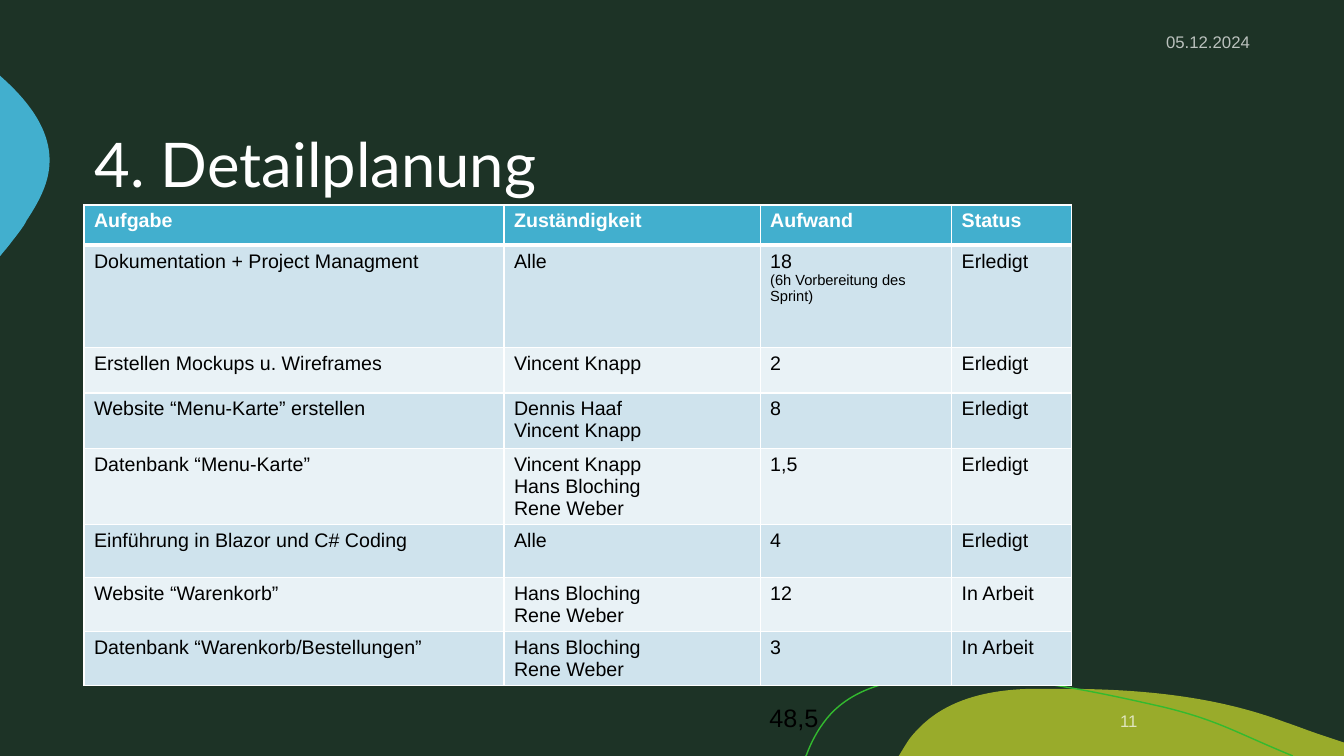
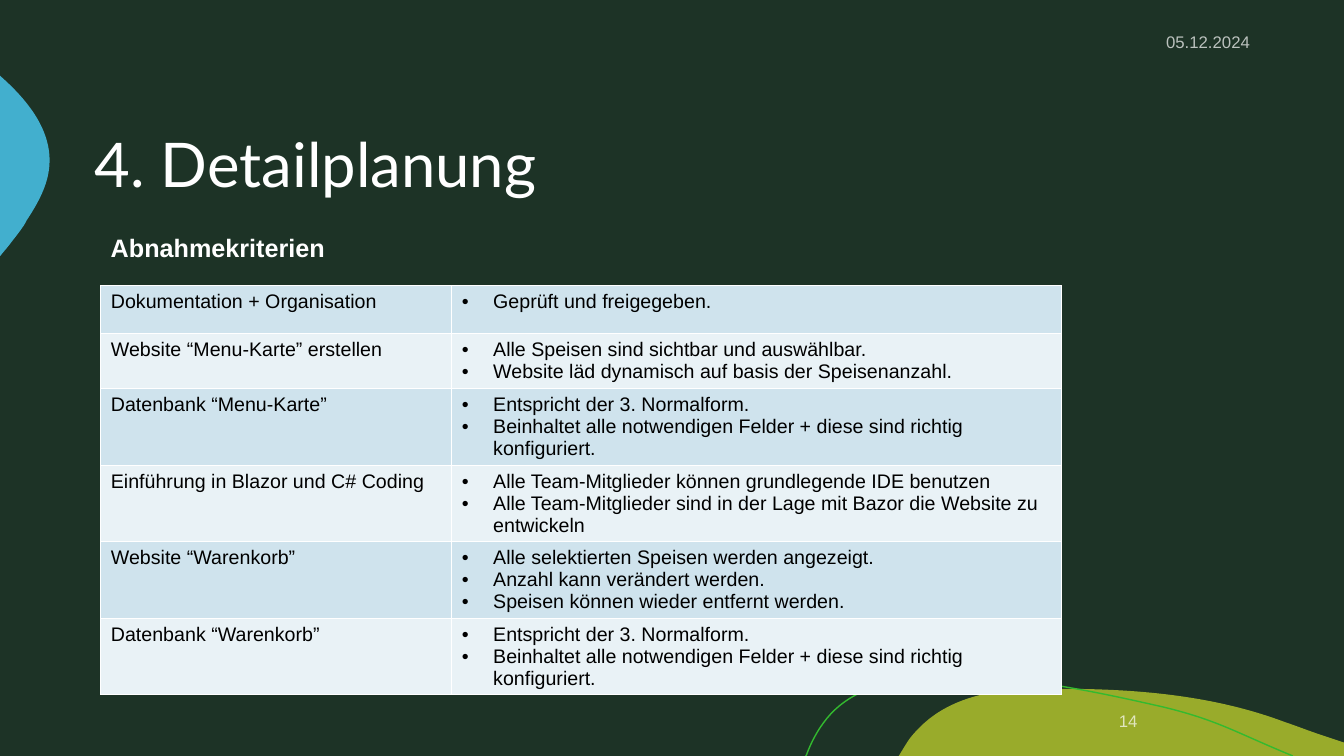
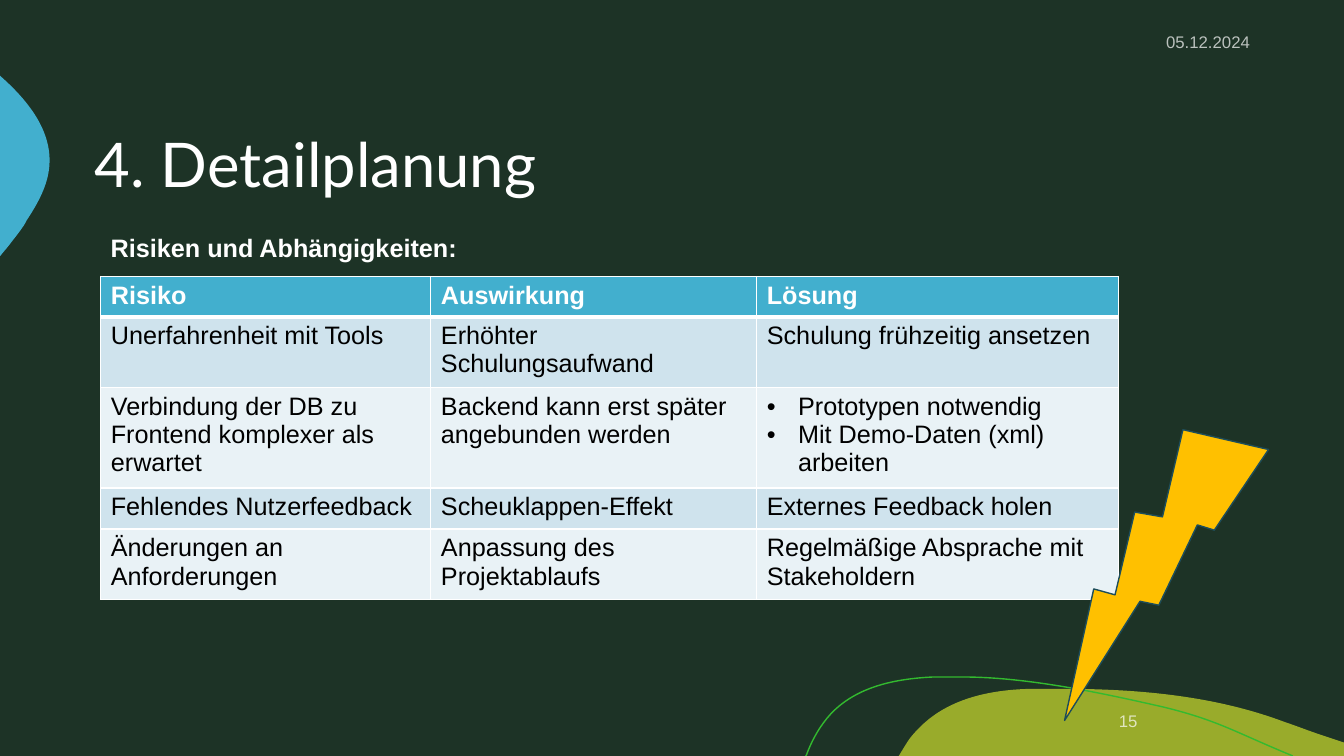
from lxml import etree
from pptx import Presentation, util as u
from pptx.dml.color import RGBColor
from pptx.enum import shapes, text
from pptx.oxml.ns import qn

# Palette
NIGHT = RGBColor(0x1D, 0x33, 0x26)
OLIVE = RGBColor(0x99, 0xAB, 0x2B)
BLUE = RGBColor(0x42, 0xAF, 0xCE)
GREEN = RGBColor(0x33, 0xBA, 0x2F)
WHITE = RGBColor(0xFF, 0xFF, 0xFF)
BLACK = RGBColor(0, 0, 0)
BAND_DARK = RGBColor(0xCF, 0xE3, 0xED)
BAND_LIGHT = RGBColor(0xE9, 0xF2, 0xF6)
AMBER = RGBColor(0xFF, 0xC0, 0)
PETROL = RGBColor(0x1D, 0x4D, 0x5A)

# Grid: 16 columns by 9 rows of square units
prs = Presentation()
prs.slide_width, prs.slide_height = u.Inches(13.3333), u.Inches(7.5)
UNIT = prs.slide_width / 16


def write(frame, lines, size=14, color=BLACK, font="Arial", bold=False,
          align=None, anchor=text.MSO_ANCHOR.TOP, spacing=None, opacity=None):
    """One paragraph a line; a leading • makes a bullet, \\v breaks a line."""
    frame.word_wrap = True
    frame.vertical_anchor = anchor
    for i, line in enumerate(lines.split("\n")):
        par = frame.paragraphs[0] if i == 0 else frame.add_paragraph()
        par.alignment, par.line_spacing = align, spacing
        for k, piece in enumerate(line.lstrip("• ").split("\v")):
            if k:
                par.add_line_break()
            run = par.add_run()
            run.text = piece
            run.font.size, run.font.name, run.font.bold = u.Pt(size), font, bold
            run.font.color.rgb = color
            if opacity:
                rgb = run._r.find(".//" + qn("a:srgbClr"))
                etree.SubElement(rgb, qn("a:alpha"), val=str(opacity * 1000))
        if line.startswith("•"):
            props = par._p.get_or_add_pPr()
            props.set("marL", str(u.Inches(0.31)))
            props.set("indent", str(-u.Inches(0.31)))
            etree.SubElement(props, qn("a:buFont"), typeface="Arial")
            etree.SubElement(props, qn("a:buChar"), char="•")


def draw_curve(slide, start, segments, closed):
    """Outline of lines (x, y) and cubic curves (two controls, end)."""
    ends = [start] + [seg[-2:] for seg in segments]
    left, top = min(x for x, _ in ends), min(y for _, y in ends)
    spots = [(round(x * UNIT), round(y * UNIT)) for x, y in ends]
    builder = slide.shapes.build_freeform(*spots[0], scale=1.0)
    builder.add_line_segments(spots[1:], close=closed)
    curve = builder.convert_to_shape()
    steps = curve._element.findall(".//" + qn("a:lnTo"))
    for step, seg in zip(steps, segments):
        if len(seg) == 6:
            bezier = etree.Element(qn("a:cubicBezTo"))
            for x, y in zip(seg[::2], seg[1::2]):
                etree.SubElement(bezier, qn("a:pt"),
                                 x=str(round((x - left) * UNIT)),
                                 y=str(round((y - top) * UNIT)))
            step.getparent().replace(step, bezier)
    curve.shadow.inherit = False
    return curve


# Shared decoration: start, segments, fill, line
DECOR = [
    ((12.65, 8.2), [
        (13.54, 8.2, 14.45, 8.28, 15.28, 8.59),
        (15.43, 8.64, 15.58, 8.7, 15.73, 8.75),
        (16, 8.84), (16, 9), (10.7, 9), (10.78, 8.87),
        (10.82, 8.8, 10.87, 8.74, 10.93, 8.68),
        (11.27, 8.32, 11.78, 8.21, 12.28, 8.2),
        (12.4, 8.2, 12.52, 8.2, 12.65, 8.2)], OLIVE, None),
    ((0, 0.9), [
        (0.01, 0.91), (0.36, 1.22, 0.65, 1.6, 0.58, 2.04),
        (0.55, 2.24, 0.44, 2.44, 0.32, 2.62),
        (0.29, 2.69, 0.2, 2.8, 0.1, 2.93), (0, 3.05)], BLUE, None),
    ((9.59, 9), [
        (9.6, 8.99), (9.67, 8.8, 9.77, 8.63, 9.89, 8.5),
        (10.2, 8.17, 10.67, 8.08, 11.11, 8.06), (11.46, 8.06),
        (12.26, 8.06, 13.2, 8.27, 13.86, 8.42),
        (14.51, 8.58, 14.71, 8.72, 15.39, 9)], None, GREEN),
]

# Contents: positions, columns and rows in grid units
HEADING = (1.2, 2.71, 7.74, 0.48)
HEADING_STYLE = dict(size=18, color=WHITE, bold=True)
NORMAL_FORM = ("• Entspricht der 3. Normalform.\n• Beinhaltet alle notwendigen "
               "Felder + diese sind richtig konfiguriert.")
PAGES = [
    dict(number="11", corner=(1, 2.44), size=14, header=True,
         columns=[5, 3.05, 2.28, 1.43],
         rows=[0.48, 1.22, 0.54, 0.66, 0.91, 0.63, 0.64, 0.64],
         note=("48,5", (9.04, 8.3, 2, 0.48), dict(size=18)),
         cells=[
             ("Aufgabe", "Zuständigkeit", "Aufwand", "Status"),
             ("Dokumentation + Project Managment", "Alle",
              "18\n(6h Vorbereitung des Sprint)", "Erledigt"),
             ("Erstellen Mockups u. Wireframes", "Vincent Knapp", "2", "Erledigt"),
             ("Website “Menu-Karte” erstellen", "Dennis Haaf\vVincent Knapp",
              "8", "Erledigt"),
             ("Datenbank “Menu-Karte”", "Vincent Knapp\nHans Bloching\nRene Weber",
              "1,5", "Erledigt"),
             ("Einführung in Blazor und C# Coding", "Alle", "4", "Erledigt"),
             ("Website “Warenkorb”", "Hans Bloching\nRene Weber", "12", "In Arbeit"),
             ("Datenbank “Warenkorb/Bestellungen”", "Hans Bloching\nRene Weber",
              "3", "In Arbeit")]),
    dict(number="14", corner=(1.2, 3.4), size=14, header=False,
         columns=[4.18, 7.26], rows=[0.57, 0.66] + [0.91] * 4,
         note=("Abnahmekriterien", HEADING, HEADING_STYLE),
         cells=[
             ("Dokumentation + Organisation", "• Geprüft und freigegeben."),
             ("Website “Menu-Karte” erstellen",
              "• Alle Speisen sind sichtbar und auswählbar.\n"
              "• Website läd dynamisch auf basis der Speisenanzahl."),
             ("Datenbank “Menu-Karte”", NORMAL_FORM),
             ("Einführung in Blazor und C# Coding",
              "• Alle Team-Mitglieder können grundlegende IDE benutzen\n"
              "• Alle Team-Mitglieder sind in der Lage mit Bazor die Website "
              "zu entwickeln"),
             ("Website “Warenkorb”",
              "• Alle selektierten Speisen werden angezeigt.\n"
              "• Anzahl kann verändert werden.\n"
              "• Speisen können wieder entfernt werden."),
             ("Datenbank “Warenkorb”", NORMAL_FORM)]),
    dict(number="15", corner=(1.2, 3.29), size=18, header=True,
         columns=[3.93, 3.88, 4.31], rows=[0.48, 0.84, 1.2, 0.49, 0.84],
         note=("Risiken und Abhängigkeiten:", HEADING, HEADING_STYLE),
         cells=[
             ("Risiko", "Auswirkung", "Lösung"),
             ("Unerfahrenheit mit Tools", "Erhöhter Schulungsaufwand",
              "Schulung frühzeitig ansetzen"),
             ("Verbindung der DB zu Frontend komplexer als erwartet",
              "Backend kann erst später angebunden werden",
              "• Prototypen notwendig\n• Mit Demo-Daten (xml) arbeiten"),
             ("Fehlendes Nutzerfeedback", "Scheuklappen-Effekt",
              "Externes Feedback holen"),
             ("Änderungen an Anforderungen", "Anpassung des Projektablaufs",
              "Regelmäßige Absprache mit Stakeholdern")]),
]

background = prs.slide_master.background.fill
background.solid()
background.fore_color.rgb = NIGHT
plans = []

for page in PAGES:
    slide = prs.slides.add_slide(prs.slide_layouts[6])

    # Curved decoration
    for start, segments, fill, line in DECOR:
        curve = draw_curve(slide, start, segments, closed=fill is not None)
        if fill is not None:
            curve.fill.solid()
            curve.fill.fore_color.rgb = fill
            curve.line.fill.background()
        else:
            curve.fill.background()
            curve.line.color.rgb = line
            curve.line.width = u.Pt(1)

    # Title, date, page number and the page's own note
    small = dict(size=12, color=WHITE, opacity=70, align=text.PP_ALIGN.RIGHT,
                 anchor=text.MSO_ANCHOR.MIDDLE)
    for words, place, style in [
            ("4. Detailplanung", (1.01, 1, 14, 2),
             dict(size=44, color=WHITE, font="Lato", spacing=0.9,
                  anchor=text.MSO_ANCHOR.MIDDLE)),
            ("05.12.2024", (12.32, 0.26, 2.68, 0.48), small),
            (page["number"], (11.66, 8.34, 2, 0.48), small),
            page["note"]]:
        box = slide.shapes.add_textbox(*(round(v * UNIT) for v in place))
        write(box.text_frame, words, **style)

    # Planning table
    columns, rows = page["columns"], page["rows"]
    extent = (*page["corner"], sum(columns), sum(rows))
    plan = slide.shapes.add_table(len(rows), len(columns),
                                  *(round(v * UNIT) for v in extent)).table
    plan.first_row = plan.horz_banding = False
    plans.append(plan)
    for column, width in zip(plan.columns, columns):
        column.width = round(width * UNIT)
    for r, (height, entries) in enumerate(zip(rows, page["cells"])):
        plan.rows[r].height = round(height * UNIT)
        heading = page["header"] and r == 0
        band = BAND_DARK if (r - page["header"]) % 2 == 0 else BAND_LIGHT
        edges = {"L": 1, "R": 1, "T": 3 if page["header"] and r == 1 else 1,
                 "B": 3 if heading else 1}
        for c, entry in enumerate(entries):
            cell = plan.cell(r, c)
            cell.margin_bottom = 0
            cell.fill.solid()
            cell.fill.fore_color.rgb = BLUE if heading else band
            write(cell.text_frame, entry, size=page["size"], bold=heading,
                  color=WHITE if heading else BLACK)
            props = cell._tc.get_or_add_tcPr()
            for i, (side, weight) in enumerate(edges.items()):
                edge = etree.Element(qn("a:ln" + side), w=str(u.Pt(weight)))
                paint = etree.SubElement(edge, qn("a:solidFill"))
                etree.SubElement(paint, qn("a:srgbClr"), val=str(WHITE))
                props.insert(i, edge)

# Smaller remark on the sprint preparation
remark = plans[0].cell(1, 2).text_frame.paragraphs[1]
remark.runs[0].font.size = u.Pt(10.5)

# Lightning bolt beside the risks on the last slide
bolt = slide.shapes.add_shape(shapes.MSO_SHAPE.LIGHTNING_BOLT,
                              *(round(v * UNIT) for v in (12.66, 4.72, 2, 3.85)))
bolt.rotation = 54.5
bolt.shadow.inherit = False
bolt.fill.solid()
bolt.fill.fore_color.rgb = AMBER
bolt.line.color.rgb = PETROL
bolt.line.width = u.Pt(1)

prs.save("out.pptx")
